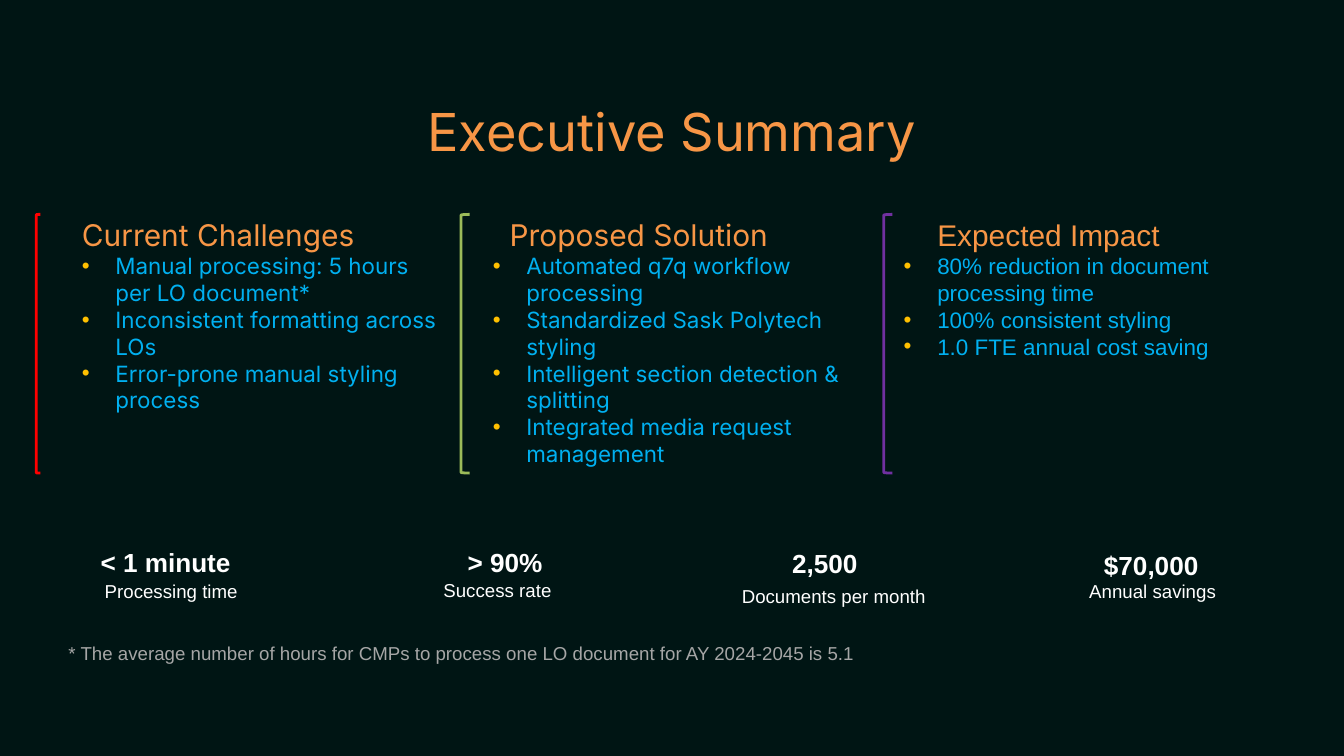
from lxml import etree
from pptx import Presentation
from pptx.dml.color import RGBColor
from pptx.enum import shapes, text
from pptx.oxml.ns import qn
from pptx.util import Inches, Pt

THEME = {
    "back": "001514",
    "dot": "FFC000",
    "title": {"name": "Inter", "size": 56, "color": "F79646"},
    "head": {"size": 32, "color": "F79646"},
    "item": {"size": 24, "color": "00B0F0"},
    "stat": {"name": "Arial", "size": 28, "color": "FFFFFF", "bold": True},
    "label": {"name": "Arial", "size": 20, "color": "FFFFFF"},
    "note": {"name": "Arial", "size": 20, "color": "A6A6A6"},
}


def write(para, words, style):
    run = para.add_run()
    run.text = words
    for key, value in style.items():
        if key == "color":
            run.font.color.rgb = RGBColor.from_string(value)
        else:
            setattr(run.font, key, Pt(value) if key == "size" else value)


def add_box(left, top, width, height):
    """Add a wrapping text box and return its text frame."""
    box = slide.shapes.add_textbox(*map(Inches, (left, top, width, height)))
    box.text_frame.word_wrap = True
    box.text_frame.auto_size = text.MSO_AUTO_SIZE.SHAPE_TO_FIT_TEXT
    return box.text_frame


deck = Presentation()
deck.slide_width, deck.slide_height = Inches(20), Inches(11.25)
slide = deck.slides.add_slide(deck.slide_layouts[5])
slide.background.fill.solid()
slide.background.fill.fore_color.rgb = RGBColor.from_string(THEME["back"])

# Title
title = slide.shapes.title
place = {"left": 1.12, "top": 1.66, "width": 17.75, "height": 0.75}
for key, value in place.items():
    setattr(title, key, Inches(value))
frame = title.text_frame
layout = {
    "margin_left": 0, "margin_top": 0, "margin_right": 0, "margin_bottom": 0,
    "word_wrap": True, "vertical_anchor": text.MSO_ANCHOR.TOP,
    "auto_size": text.MSO_AUTO_SIZE.SHAPE_TO_FIT_TEXT,
}
for key, value in layout.items():
    setattr(frame, key, value)
para = frame.paragraphs[0]
para.alignment = text.PP_ALIGN.CENTER
para.line_spacing = 0.8
write(para, "Executive Summary", THEME["title"])

# Three columns: heading, heading indent, font, height, bracket, items
columns = [
    ("Current Challenges", 0, "Inter", 3.06, (0.54, 0.06, "FF0000"), [
        "Manual processing: 5 hours per LO document*",
        "Inconsistent formatting across LOs",
        "Error-prone manual styling process"]),
    ("Proposed Solution", 0.25, "Inter", 3.87, (6.86, 0.13, "9BBB59"), [
        "Automated q7q workflow processing",
        "Standardized Sask Polytech styling",
        "Intelligent section detection & splitting",
        "Integrated media request management"]),
    ("Expected Impact", 0.5, "Arial", 2.26, (13.15, 0.13, "7030A0"), [
        "80% reduction in document processing time",
        "100% consistent styling",
        "1.0 FTE annual cost saving"]),
]
for col, (head, indent, font, height, bracket, items) in enumerate(columns):
    frame = add_box(1.12 + col * 6.115, 3.17, 5.53, height)
    para = frame.paragraphs[0]
    props = para._p.get_or_add_pPr()
    props.set("marL", str(Inches(indent)))
    write(para, head, {"name": font, **THEME["head"]})
    for item in items:
        para = frame.add_paragraph()
        props = para._p.get_or_add_pPr()
        props.set("marL", str(Inches(0.5)))
        props.set("indent", str(Inches(-0.5)))
        tint = etree.SubElement(props, qn("a:buClr"))
        etree.SubElement(tint, qn("a:srgbClr"), val=THEME["dot"])
        etree.SubElement(props, qn("a:buFont"), typeface="Arial")
        etree.SubElement(props, qn("a:buChar"), char="•")
        write(para, item, {"name": font, **THEME["item"]})

    left, width, color = bracket
    shape = slide.shapes.add_shape(
        shapes.MSO_SHAPE.LEFT_BRACKET,
        Inches(left), Inches(3.19), Inches(width), Inches(3.85))
    shape.shadow.inherit = False
    shape.fill.background()
    shape.line.color.rgb = RGBColor.from_string(color)
    shape.line.width = Pt(3)

# Key figures, each with the left and top of its value and its label
stats = [
    ("< 1 minute", 1.4, 8.08, "Processing time", 1.46, 8.58),
    ("> 90%", 6.86, 8.08, "Success rate", 6.5, 8.56),
    ("2,500", 11.69, 8.1, "Documents per month", 10.94, 8.65),
    ("$70,000", 16.33, 8.12, "Annual savings", 16.11, 8.58),
]
for value, left, top, label, label_left, label_top in stats:
    frame = add_box(left, top, 2.54, 0.57)
    write(frame.paragraphs[0], value, THEME["stat"])
    frame = add_box(label_left, label_top, 3.06, 0.44)
    write(frame.paragraphs[0], label, THEME["label"])

# Footnote
note = ("* The average number of hours for CMPs to process one LO document "
        "for AY 2024-2045 is 5.1")
write(add_box(0.92, 9.5, 14.65, 0.44).paragraphs[0], note, THEME["note"])

deck.save("out.pptx")
